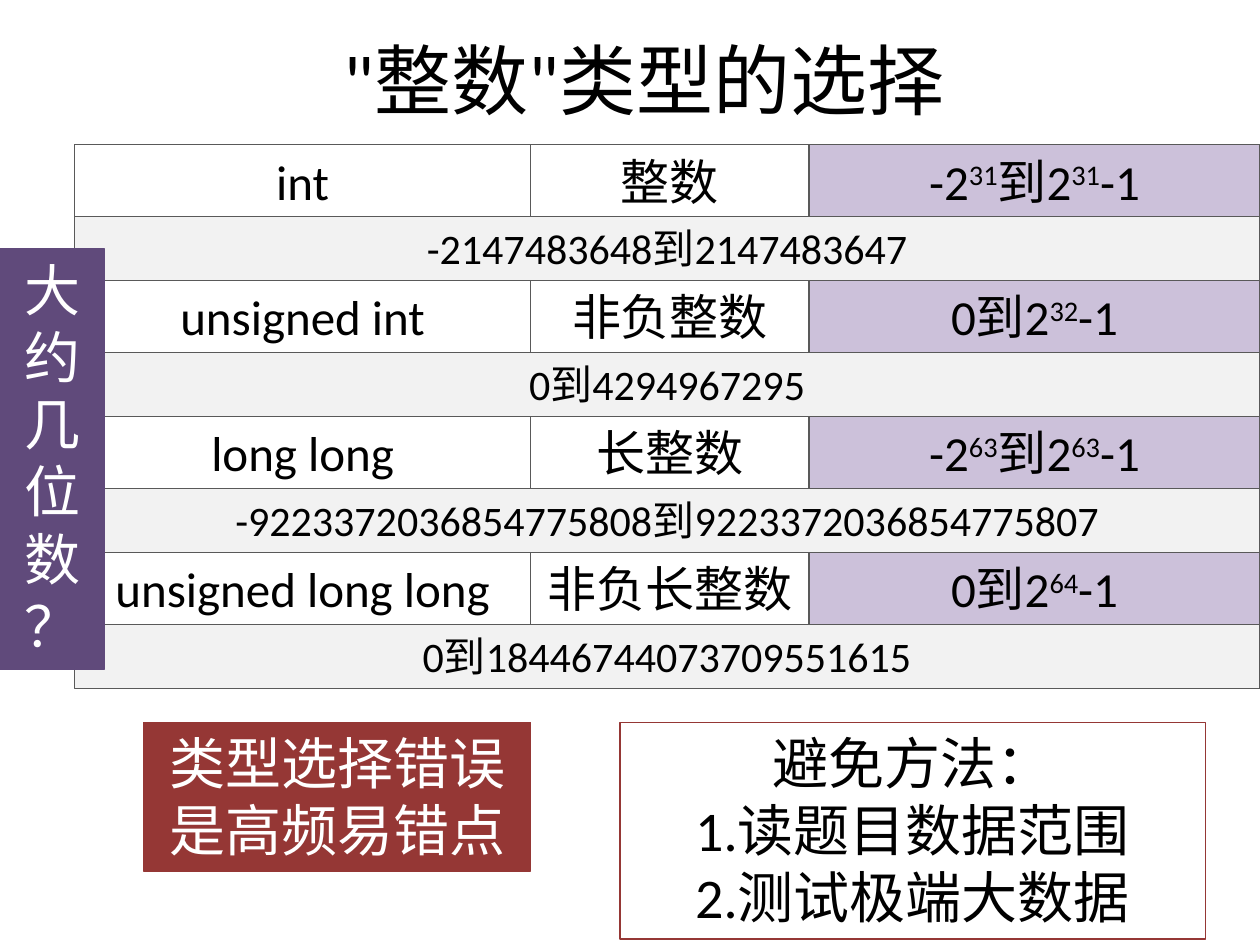
from pptx import Presentation
from pptx.dml.color import RGBColor
from pptx.enum.shapes import MSO_SHAPE
from pptx.enum.text import MSO_ANCHOR, MSO_AUTO_SIZE, PP_ALIGN
from pptx.util import Cm, Pt

RECTANGLE = MSO_SHAPE.RECTANGLE
TOP, MIDDLE = MSO_ANCHOR.TOP, MSO_ANCHOR.MIDDLE
GROW = MSO_AUTO_SIZE.SHAPE_TO_FIT_TEXT
CENTER = PP_ALIGN.CENTER
TITLE_ONLY = 5

BLACK, WHITE, GRAY, LIGHT = "000000", "FFFFFF", "595959", "F2F2F2"
RED, PURPLE, LILAC = "953735", "604A7B", "CCC1DA"

# Type, meaning, range in powers of two (^ encloses an exponent), range in digits
INTEGER_TYPES = [
    ("int", "整数", "-2^31^到2^31^-1", "-2147483648到2147483647"),
    ("unsigned int", "非负整数", "0到2^32^-1", "0到4294967295"),
    ("long long", "长整数", "-2^63^到2^63^-1",
     "-9223372036854775808到9223372036854775807"),
    ("unsigned long long", "非负长整数", "0到2^64^-1", "0到18446744073709551615"),
]
COLUMN_EDGES = [1.5, 10.7, 16.31, 25.4]
COLUMN_FILLS = [WHITE, WHITE, LILAC]
GRID_TOP, TYPE_HEIGHT, DIGITS_HEIGHT = 2.92, 1.45, 1.29


def color(hex_string):
    return RGBColor.from_string(hex_string)


class SlideBuilder:
    def __init__(self, deck, font="Calibri"):
        self.font = font
        self.slide = deck.slides.add_slide(deck.slide_layouts[TITLE_ONLY])

    def add_text(self, para, text, size, ink, font=None):
        """Add text run by run; parts enclosed in ^ become superscripts."""
        para.alignment = CENTER
        for index, part in enumerate(text.split("^")):
            span = para.add_run()
            span.text = part
            span.font.size = Pt(size)
            span.font.name = font or self.font
            span.font.color.rgb = color(ink)
            if index % 2:
                span.font._element.set("baseline", "30000")

    def title(self, text, left, top, width, height):
        box = self.slide.shapes.title
        box.left, box.top = Cm(left), Cm(top)
        box.width, box.height = Cm(width), Cm(height)
        box.text_frame.vertical_anchor = MIDDLE
        self.add_text(box.text_frame.paragraphs[0], text, 44, BLACK)

    def box(self, lines, left, top, width, height, fill, line,
            size=32, ink=BLACK, font=None):
        box = self.slide.shapes.add_shape(
            RECTANGLE, Cm(left), Cm(top), Cm(width), Cm(height))
        box.shadow.inherit = False
        box.fill.solid()
        box.fill.fore_color.rgb = color(fill)
        box.line.color.rgb = color(line)
        box.line.width = Pt(0.75)
        frame = box.text_frame
        frame.word_wrap = True
        frame.auto_size = GROW
        frame.vertical_anchor = TOP
        for index, text in enumerate(lines):
            para = frame.add_paragraph() if index else frame.paragraphs[0]
            self.add_text(para, text, size, ink, font)

    def type_grid(self):
        left, right = COLUMN_EDGES[0], COLUMN_EDGES[-1]
        for index, (*cells, digits) in enumerate(INTEGER_TYPES):
            top = GRID_TOP + index * (TYPE_HEIGHT + DIGITS_HEIGHT)
            columns = zip(cells, COLUMN_EDGES, COLUMN_EDGES[1:], COLUMN_FILLS)
            for text, start, end, fill in columns:
                self.box([text], start, top, end - start, TYPE_HEIGHT,
                         fill, GRAY, size=28)
            self.box([digits], left, top + TYPE_HEIGHT, right - left,
                     DIGITS_HEIGHT, LIGHT, GRAY, size=24)


def main():
    deck = Presentation()
    deck.slide_width, deck.slide_height = Cm(25.4), Cm(19.05)
    page = SlideBuilder(deck)
    page.title('"整数"类型的选择', 0.58, 0, 24.82, 3.18)
    page.box(["类型选择错误是高频易错点"], 2.9, 14.56, 7.8, 3, RED, RED, ink=WHITE)
    page.box(["避免方法：", "1.读题目数据范围", "2.测试极端大数据"],
             12.5, 14.56, 11.8, 4.37, WHITE, RED)
    page.type_grid()
    page.box(["大约几位数", "？"], 0, 5.02, 2.11, 8.47, PURPLE, PURPLE,
             ink=WHITE, font="Noto Sans CJK SC")
    deck.save("out.pptx")


if __name__ == "__main__":
    main()
